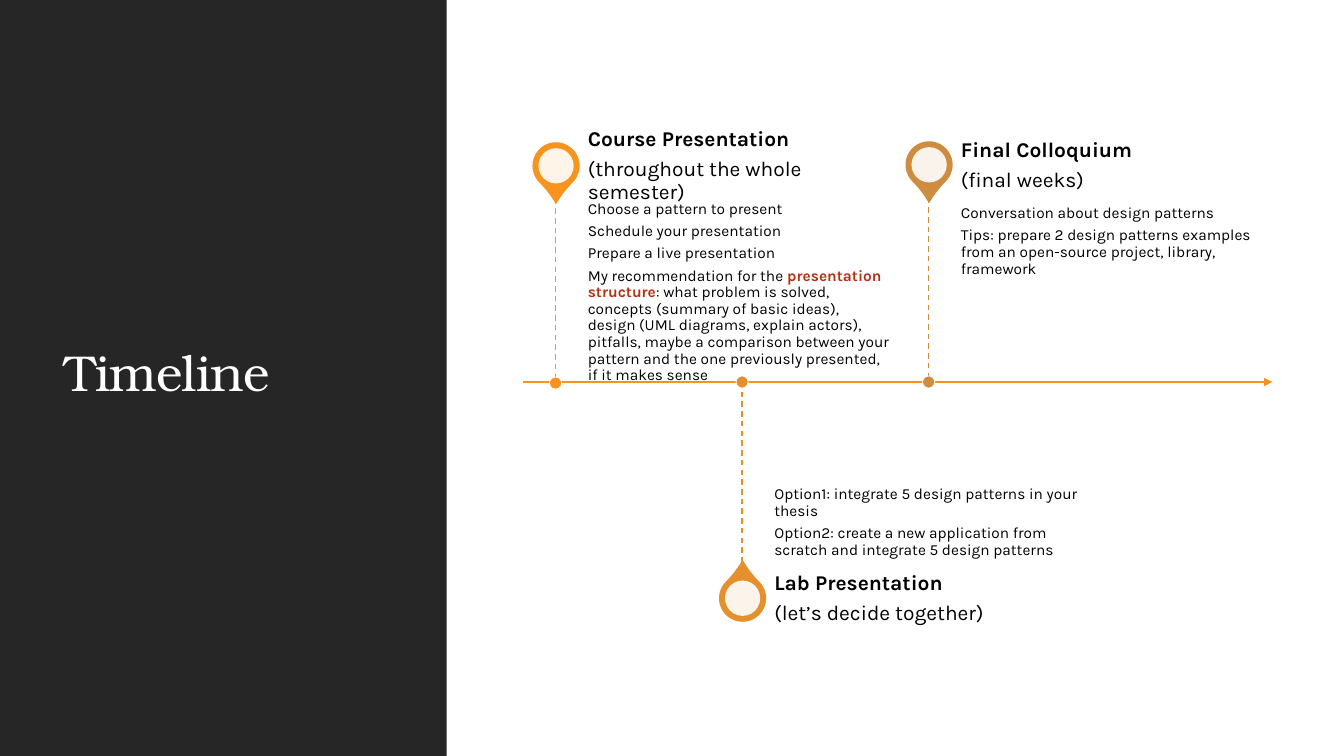
import dataclasses

import lxml.etree
import pptx
import pptx.dml.color
import pptx.enum.dml
import pptx.enum.shapes
import pptx.enum.text
import pptx.oxml.ns
import pptx.util

SHAPE = pptx.enum.shapes.MSO_SHAPE
ANCHOR = pptx.enum.text.MSO_ANCHOR
PX = 9144  # EMU; 100 px make an inch
BODY_FONT = "Karla"
TITLE_FONT = "TeX Gyre Bonum"
ORANGE, AMBER, BRONZE = "F8931D", "E3902D", "CE8D3E"
DARK, WHITE, BLACK, RED = "262626", "FFFFFF", "000000", "B23214"
PIN, PIN_HOLE, DOT = 45, 35, 12
TEXT_WIDTH = 308
TEXT_OFFSET = 32


@dataclasses.dataclass(frozen=True)
class Span:
    text: str
    bold: bool = False
    color: str = BLACK


@dataclasses.dataclass(frozen=True)
class Block:
    """Text area of a milestone; insets run left, top, right, bottom."""
    top: int
    height: int
    paragraphs: list[list[Span]]
    size: int
    anchor: ANCHOR
    insets: tuple[int, int, int, int]


@dataclasses.dataclass(frozen=True)
class Milestone:
    center: int
    color: str
    pin_top: int
    pin_rotation: int
    stem: tuple[int, int]
    dot_center: int
    details: Block
    heading: Block


def rgb(color: str) -> pptx.dml.color.RGBColor:
    return pptx.dml.color.RGBColor.from_string(color)


def heading(top: int, height: int, name: str, timing: str) -> Block:
    return Block(top, height, [[Span(name, bold=True)], [Span(timing)]],
                 15, ANCHOR.MIDDLE, (0, 0, 10, 0))


def details_above(top: int, height: int, *paragraphs: list[Span]) -> Block:
    return Block(top, height, list(paragraphs), 11, ANCHOR.TOP, (0, 8, 8, 11))


def details_below(top: int, height: int, *paragraphs: list[Span]) -> Block:
    return Block(top, height, list(paragraphs), 11, ANCHOR.BOTTOM, (0, 11, 0, 8))


MILESTONES = [
    Milestone(
        551, ORANGE, 142, 135, (197, 380), 380,
        details_above(
            192, 192,
            [Span("Choose a pattern to present")],
            [Span("Schedule your presentation")],
            [Span("Prepare a live presentation")],
            [Span("My recommendation for the "),
             Span("presentation structure", bold=True, color=RED),
             Span(": what problem is solved, concepts (summary of basic ideas), "
                  "design (UML diagrams, explain actors), pitfalls, maybe a "
                  "comparison between your pattern and the one previously "
                  "presented, if it makes sense")]),
        heading(131, 68, "Course Presentation", "(throughout the whole semester)")),
    Milestone(
        736, AMBER, 571, 315, (379, 562), 379,
        details_below(
            379, 183,
            [Span("Option1: integrate 5 design patterns in your thesis")],
            [Span("Option2: create a new application from scratch and "
                  "integrate 5 design patterns")]),
        heading(562, 64, "Lab Presentation", "(let’s decide together)")),
    Milestone(
        921, BRONZE, 141, 135, (196, 379), 379,
        details_above(
            196, 183,
            [Span("Conversation about design patterns")],
            [Span("Tips: prepare 2 design patterns examples from an "
                  "open-source project, library, framework")]),
        heading(132, 64, "Final Colloquium", "(final weeks)")),
]


def write_text(frame, paragraphs: list[list[Span]], *, size: int, font: str,
               anchor: ANCHOR, space_after: float = 0, tracking: int = 0) -> None:
    frame.word_wrap = True
    frame.auto_size = pptx.enum.text.MSO_AUTO_SIZE.NONE
    frame.vertical_anchor = anchor
    for index, spans in enumerate(paragraphs):
        paragraph = frame.add_paragraph() if index else frame.paragraphs[0]
        paragraph.alignment = pptx.enum.text.PP_ALIGN.LEFT
        paragraph.line_spacing = 0.9
        paragraph.space_after = pptx.util.Pt(space_after)
        for span in spans:
            run = paragraph.add_run()
            run.text = span.text
            run.font.name = font
            run.font.size = pptx.util.Pt(size)
            run.font.bold = span.bold
            run.font.color.rgb = rgb(span.color)
            if tracking:
                run.font.element.set("spc", str(tracking)) if hasattr(
                    run.font, "element") else run.text and run._r.rPr.set("spc", str(tracking))


def add_block(slide, left: int, block: Block) -> None:
    box = slide.shapes.add_textbox(left * PX, block.top * PX,
                                   TEXT_WIDTH * PX, block.height * PX)
    frame = box.text_frame
    (frame.margin_left, frame.margin_top,
     frame.margin_right, frame.margin_bottom) = (inset * PX for inset in block.insets)
    write_text(frame, block.paragraphs, size=block.size, font=BODY_FONT,
               anchor=block.anchor, space_after=round(0.35 * block.size, 2))


def add_filled(slide, kind: SHAPE, left: int, top: int, width: int, height: int,
               fill: str, line: str = "", line_width: float = 0):
    shape = slide.shapes.add_shape(kind, left * PX, top * PX, width * PX, height * PX)
    shape.shadow.inherit = False
    shape.fill.solid()
    shape.fill.fore_color.rgb = rgb(fill)
    if line:
        shape.line.color.rgb = rgb(line)
        shape.line.width = pptx.util.Pt(line_width)
    else:
        shape.line.fill.background()
    return shape


def add_line(slide, start: tuple[int, int], end: tuple[int, int], color: str,
             width: float, dashed: bool = False, arrow: bool = False) -> None:
    connector = slide.shapes.add_connector(
        pptx.enum.shapes.MSO_CONNECTOR.STRAIGHT,
        *(value * PX for value in start + end))
    connector.line.color.rgb = rgb(color)
    connector.line.width = pptx.util.Pt(width)
    if dashed:
        connector.line.dash_style = pptx.enum.dml.MSO_LINE.DASH
    qn = pptx.oxml.ns.qn
    properties = connector.element.spPr
    if arrow:
        lxml.etree.SubElement(properties.find(qn("a:ln")), qn("a:tailEnd"), type="triangle")
    lxml.etree.SubElement(properties, qn("a:effectLst"))


def add_milestone(slide, item: Milestone) -> None:
    pin = add_filled(slide, SHAPE.TEAR, item.center - PIN // 2, item.pin_top,
                     PIN, PIN, item.color, item.color, 1.25)
    pin.adjustments[0] = 1.15
    pin.rotation = item.pin_rotation
    rim = (PIN - PIN_HOLE) // 2
    hole = add_filled(slide, SHAPE.OVAL, item.center - PIN // 2 + rim,
                      item.pin_top + rim, PIN_HOLE, PIN_HOLE, WHITE)
    qn = pptx.oxml.ns.qn
    hole_color = hole.element.spPr.find(qn("a:solidFill")).find(qn("a:srgbClr"))
    lxml.etree.SubElement(hole_color, qn("a:alpha"), val="90000")
    for block in (item.details, item.heading):
        add_block(slide, item.center + TEXT_OFFSET, block)
    stem_top, stem_bottom = item.stem
    add_line(slide, (item.center, stem_top), (item.center, stem_bottom),
             item.color, 1, dashed=True)
    add_filled(slide, SHAPE.OVAL, item.center - DOT // 2, item.dot_center - DOT // 2,
               DOT, DOT, item.color, WHITE, 0.5)


def main() -> None:
    deck = pptx.Presentation()
    deck.slide_width, deck.slide_height = 1333 * PX, 750 * PX
    slide = deck.slides.add_slide(deck.slide_layouts[5])

    title = slide.shapes.title
    title.left, title.top, title.width, title.height = (
        value * PX for value in (54, 57, 337, 631))
    write_text(title.text_frame, [[Span("Timeline", color=WHITE)]], size=36,
               font=TITLE_FONT, anchor=ANCHOR.MIDDLE, tracking=-50)
    side_panel = add_filled(slide, SHAPE.RECTANGLE, 0, 0, 443, 750, DARK)
    title.element.addprevious(side_panel.element)

    add_line(slide, (519, 379), (1262, 379), ORANGE, 1.5, arrow=True)
    for item in MILESTONES:
        add_milestone(slide, item)
    deck.save("out.pptx")


if __name__ == "__main__":
    main()
